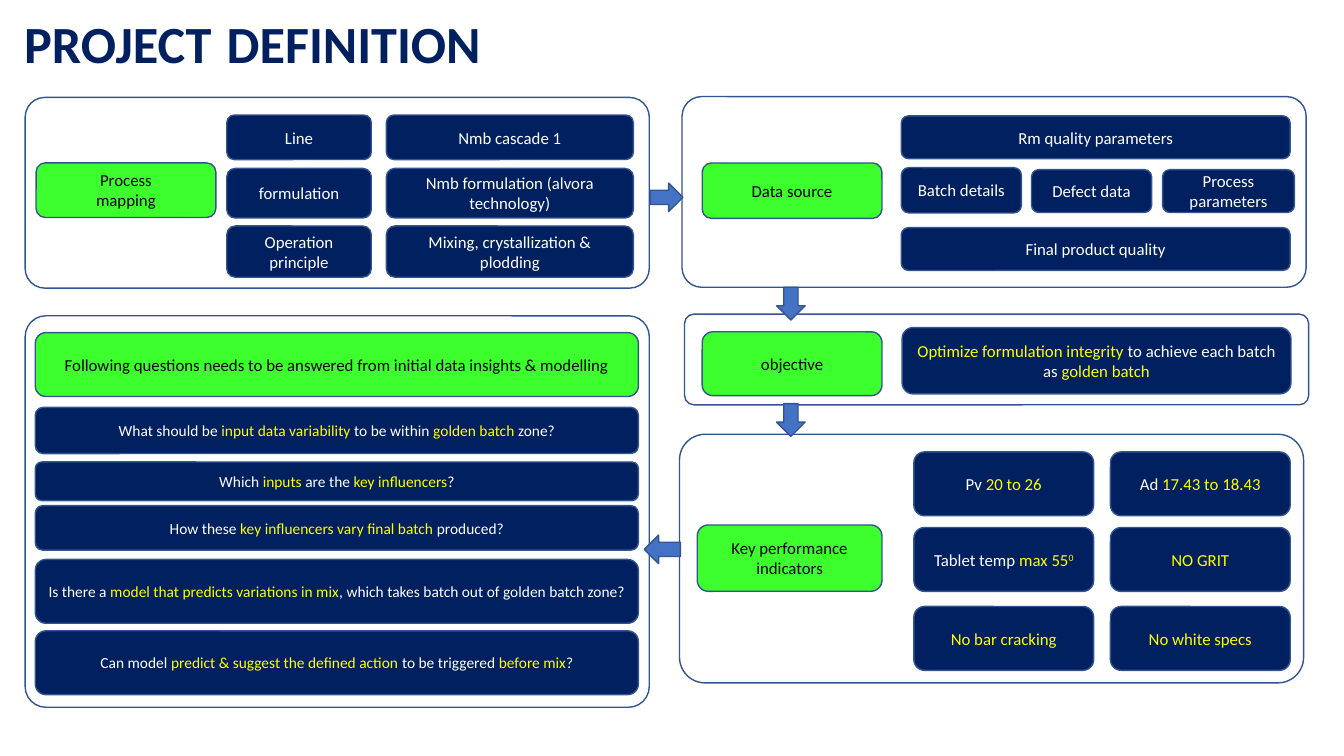
from dataclasses import dataclass

from pptx import Presentation
from pptx.dml.color import RGBColor
from pptx.enum.shapes import MSO_SHAPE
from pptx.enum.text import MSO_ANCHOR, PP_ALIGN
from pptx.util import Emu, Inches, Pt

ROUND, ARROW = MSO_SHAPE.ROUNDED_RECTANGLE, MSO_SHAPE.RIGHT_ARROW
MIDDLE, BOTTOM = MSO_ANCHOR.MIDDLE, MSO_ANCHOR.BOTTOM
LEFT, CENTER = PP_ALIGN.LEFT, PP_ALIGN.CENTER

# The slide is a grid of 160 columns by 90 rows
COLS, ROWS = 160, 90
WIDE, HIGH = Inches(13.333), Inches(7.5)

WHITE, BLACK, NAVY = "FFFFFF", "000000", "002060"
GREEN, YELLOW, BLUE, EDGE = "3CFF2D", "FFFF00", "4472C4", "325491"

# A first letter that changes the format of a piece of text
MARKS = {
    "*": {"color": YELLOW},
    "^": {"color": YELLOW, "lift": 30},
    "~": {"size": 48},
}


@dataclass
class Area:
    x: float
    y: float
    w: float
    h: float


@dataclass
class Card:
    area: Area
    text: str = ""
    fill: str = NAVY
    color: str = WHITE
    size: float = 12
    bend: float = 0.167


@dataclass
class Arrow:
    area: Area
    turn: int = 0


def paint(code: str) -> RGBColor:
    return RGBColor.from_string(code)


def place(area: Area) -> tuple:
    return (Emu(round(area.x * WIDE / COLS)), Emu(round(area.y * HIGH / ROWS)),
            Emu(round(area.w * WIDE / COLS)), Emu(round(area.h * HIGH / ROWS)))


def write(frame, text: str, *, color: str, size: float, bold: bool = False,
          align=CENTER, anchor=MIDDLE, space: float = 1.0) -> None:
    """Lines are split at a line break, pieces at a bar."""
    frame.word_wrap = True
    frame.vertical_anchor = anchor
    for row, line in enumerate(text.split("\n")):
        para = frame.add_paragraph() if row else frame.paragraphs[0]
        para.alignment, para.line_spacing = align, space
        for piece in line.split("|"):
            style = MARKS.get(piece[:1], {})
            run = para.add_run()
            run.text = piece[1:] if style else piece
            font = run.font
            font.name, font.bold = "Calibri", bold
            font.size = Pt(style.get("size", size))
            font.color.rgb = paint(style.get("color", color))
            if "lift" in style:
                run._r.get_or_add_rPr().set("baseline", str(style["lift"] * 1000))


def draw(slide, kind, area: Area, fill: str):
    shape = slide.shapes.add_shape(kind, *place(area))
    shape.shadow.inherit = False
    shape.fill.solid()
    shape.fill.fore_color.rgb = paint(fill)
    shape.line.color.rgb = paint(EDGE)
    shape.line.width = Pt(1)
    return shape


def add_card(slide, card: Card) -> None:
    shape = draw(slide, ROUND, card.area, card.fill)
    shape.adjustments[0] = card.bend
    if card.text:
        write(shape.text_frame, card.text, color=card.color, size=card.size)


def add_arrow(slide, arrow: Arrow) -> None:
    draw(slide, ARROW, arrow.area, BLUE).rotation = arrow.turn


def panel(x: float, y: float, h: float, bend: float = 0.103) -> Card:
    return Card(Area(x, y, 74.3, h), fill=WHITE, bend=bend)


def label(x: float, y: float, w: float, h: float, text: str) -> Card:
    return Card(Area(x, y, w, h), text, GREEN, BLACK)


PANELS = [
    panel(80.9, 51.7, 29.6),
    panel(81.5, 37.4, 10.8),
    panel(81.2, 11.5, 22.7),
    panel(3, 37.6, 46.6, 0.053),
    panel(3, 11.6, 22.7),
]

LABELS = [
    label(4.3, 19.4, 21.4, 6.5, "Process\nmapping"),
    label(83.6, 19.4, 21.4, 6.6, "Data source"),
    label(83.6, 39.5, 21.4, 7.6, "objective"),
    label(83, 62.5, 22, 7.9, "Key performance indicators"),
    label(4.2, 39.6, 71.8, 7.6, "Following questions needs to be answered "
          "from initial data insights & modelling"),
]

# Process mapping: top, height, item, detail
STEPS = [
    (13.7, 5.3, "Line", "Nmb cascade 1"),
    (20.05, 5.9, "formulation", "Nmb formulation (alvora technology)"),
    (26.9, 6.1, "Operation principle", "Mixing, crystallization & plodding"),
]
MAPPING = [Card(Area(x, y, w, h), text)
           for y, h, *pair in STEPS
           for (x, w), text in zip([(27, 17.2), (46, 29.4)], pair)]

# Data source and objective
DATA = [
    Card(Area(107.3, 13.8, 46.3, 5.1), "Rm quality parameters"),
    Card(Area(107.3, 19.95, 14.3, 5.4), "Batch details"),
    Card(Area(122.8, 20.2, 14.3, 5.1), "Defect data"),
    Card(Area(138.4, 20.2, 15.7, 5.1), "Process parameters"),
    Card(Area(107.3, 27.1, 46.3, 5.1), "Final product quality"),
    Card(Area(107.4, 39, 46.3, 7.9), "*Optimize formulation integrity |"
         "to achieve each batch as |*golden batch"),
]

# Key performance indicators, row by row
TARGETS = [
    (53.8, "Pv |*20 to 26", "Ad |*17.43 to 18.43"),
    (62.8, "Tablet temp |*max 55|^0", "*NO GRIT"),
    (72.2, "*No bar cracking", "*No white specs"),
]
GOALS = [Card(Area(x, y, 21.4, 7.6), text)
         for y, *pair in TARGETS
         for x, text in zip([108.8, 132.2], pair)]

# Questions: top, height, text
ASKED = [
    (48.5, 5.5, "What should be |*input data variability |to be within |"
     "*golden batch |zone?"),
    (55, 4.6, "Which |*inputs| are the |*key influencers|?"),
    (60.2, 5.3, "How these |*key influencers vary final batch |produced?"),
    (66.6, 7.6, "Is there a |*model that predicts variations in mix|"
     ", which takes batch out of golden batch zone?"),
    (75.1, 7.6, "Can model |*predict & suggest the defined action |"
     "to be triggered |*before mix|?"),
]
QUERIES = [Card(Area(4.2, y, 71.8, h), text, size=11) for y, h, text in ASKED]

ARROWS = [
    Arrow(Area(77.4, 21.8, 3.9, 3.4)),
    Arrow(Area(92.2, 34.45, 3.9, 3.4), 90),
    Arrow(Area(92.2, 48.3, 3.9, 3.4), 90),
    Arrow(Area(76.7, 63.7, 4.3, 3.4), 180),
]


def main() -> None:
    deck = Presentation()
    deck.slide_width, deck.slide_height = WIDE, HIGH
    slide = deck.slides.add_slide(deck.slide_layouts[6])

    # Title
    box = slide.shapes.add_textbox(*place(Area(1.7, 0, 138, 9.85)))
    write(box.text_frame, "PROJECT|~ |DEFINITION", color=NAVY, size=37.3,
          bold=True, align=LEFT, anchor=BOTTOM, space=0.9)

    # Panels, cards and arrows
    for card in PANELS + LABELS + MAPPING + DATA + GOALS + QUERIES:
        add_card(slide, card)
    for arrow in ARROWS:
        add_arrow(slide, arrow)

    deck.save("out.pptx")


if __name__ == "__main__":
    main()
